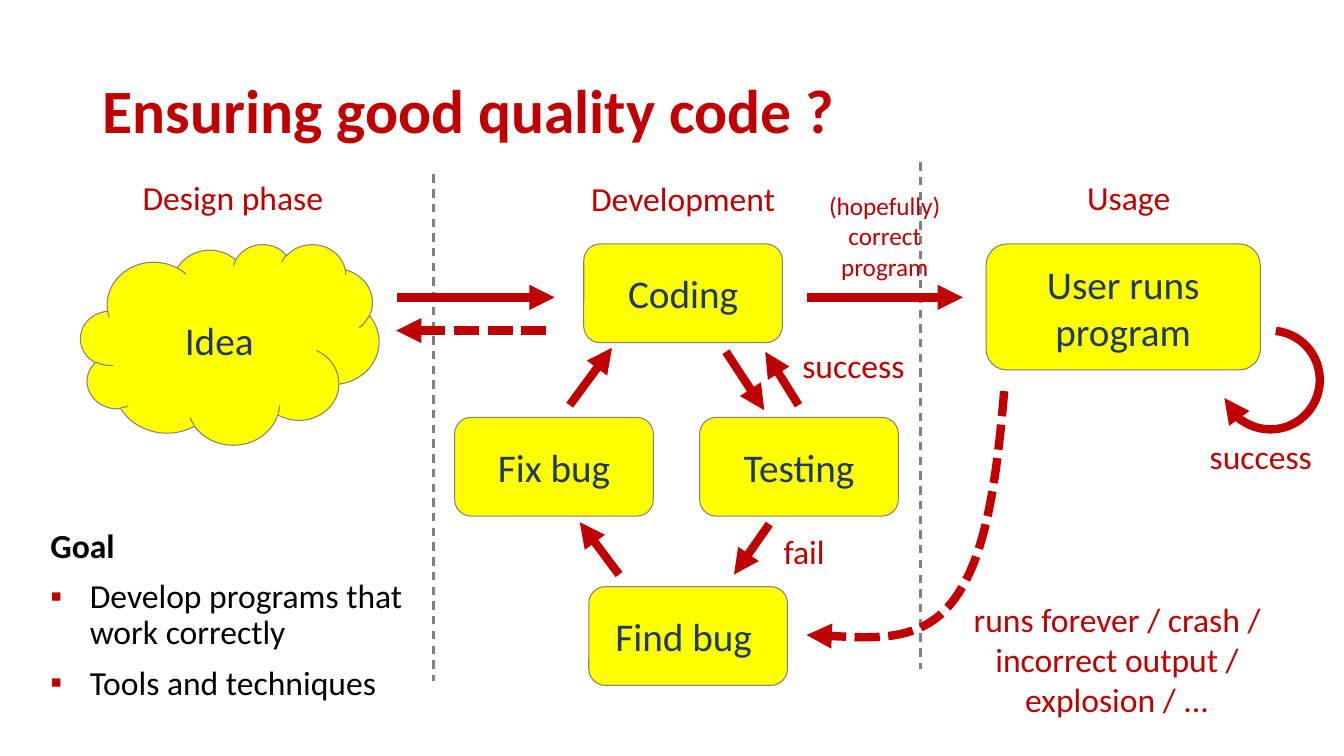
from dataclasses import dataclass
from typing import Any, Optional

from lxml.etree import SubElement
from pptx import Presentation
from pptx.dml.color import RGBColor
from pptx.dml.line import LineFormat
from pptx.enum.dml import MSO_LINE
from pptx.enum.shapes import MSO_CONNECTOR, MSO_SHAPE
from pptx.enum.text import MSO_ANCHOR, MSO_AUTO_SIZE, PP_ALIGN
from pptx.oxml.ns import qn
from pptx.slide import Slide
from pptx.util import Inches, Pt

COLOURS = {
    "accent": "C00000",
    "box": "FFFF00",
    "outline": "808080",
    "box_text": "203864",
    "body": "000000",
}
FONT = "Calibri"
BOX_SIZE = (1.97, 0.98)


@dataclass
class Box:
    text: str
    left: float
    top: float
    width: float = BOX_SIZE[0]
    height: float = BOX_SIZE[1]
    kind: MSO_SHAPE = MSO_SHAPE.ROUNDED_RECTANGLE


@dataclass
class Label:
    text: str
    left: float
    top: float
    width: float
    height: float = 0.5
    size: int = 24


@dataclass
class Line:
    start: tuple[float, float]
    end: tuple[float, float]
    colour: str = "accent"
    width: float = 6
    dash: Optional[MSO_LINE] = None
    arrow: Optional[str] = "tailEnd"


BOXES = [
    Box("Idea", 0.8, 2.42, 2.96, 1.99, MSO_SHAPE.CLOUD),
    Box("Coding", 5.79, 2.42),
    Box("User runs program", 9.78, 2.42, 2.72, 1.25),
    Box("Fix bug", 4.51, 4.14),
    Box("Find bug ", 5.84, 5.82),
    Box("Testing", 6.94, 4.14),
]
LABELS = [
    Label("Development", 5.31, 1.72, 2.93),
    Label("Usage", 9.78, 1.71, 2.83),
    Label("Design phase", 1.01, 1.71, 2.6),
    Label("success", 11.62, 4.28, 1.77),
    Label("runs forever / crash / incorrect output / explosion / ...", 9.33, 5.89, 3.5, 1.31),
    Label("(hopefully)\ncorrect program", 8.03, 1.84, 1.49, 1.01, 18),
    Label("success", 7.58, 3.37, 1.77),
    Label("fail", 7.37, 5.22, 1.21),
]
LINES = [
    Line((4.3, 1.73), (4.3, 6.76), "outline", 1.5, MSO_LINE.DASH, None),
    Line((9.13, 1.61), (9.13, 6.64), "outline", 1.5, MSO_LINE.DASH, None),
    Line((3.94, 2.95), (5.5, 2.95)),
    Line((5.42, 3.28), (3.93, 3.28), dash=MSO_LINE.SQUARE_DOT),
    Line((8, 2.95), (9.55, 2.95)),
    Line((7.2, 3.49), (7.58, 4.07)),
    Line((7.92, 4.02), (7.59, 3.49)),
    Line((7.63, 5.2), (7.28, 5.7)),
    Line((6.14, 5.7), (5.75, 5.18)),
    Line((5.65, 4.02), (6.07, 3.45)),
]
CRASH_CURVE = [
    (9.96, 3.88),
    (9.88, 4.85), (9.76, 5.59), (9.43, 5.99),
    (9.11, 6.39), (8.31, 6.31), (8, 6.3),
]


def colour_of(name: str) -> RGBColor:
    return RGBColor.from_string(COLOURS[name])


def apply_format(target: Any, values: dict[str, Any]) -> None:
    for name, value in values.items():
        setattr(target, name, value)


def place(shape: Any, left: float, top: float, width: float, height: float) -> None:
    names = ("left", "top", "width", "height")
    lengths = (left, top, width, height)
    apply_format(shape, {name: Inches(length) for name, length in zip(names, lengths)})


def write_text(shape: Any, text: str, size: int, colour: str, alignment: PP_ALIGN,
               bold: bool = False) -> None:
    shape.text_frame.text = text
    for paragraph in shape.text_frame.paragraphs:
        paragraph.alignment = alignment
        for run in paragraph.runs:
            apply_format(run.font, {"name": FONT, "size": Pt(size), "bold": bold})
            run.font.color.rgb = colour_of(colour)


def style_line(line: LineFormat, colour: str, width: float,
               dash: Optional[MSO_LINE] = None, arrow: Optional[str] = None) -> None:
    line.color.rgb = colour_of(colour)
    apply_format(line, {"width": Pt(width), "dash_style": dash})
    if arrow:
        SubElement(line._get_or_add_ln(), qn(f"a:{arrow}"), type="triangle")


def add_box(slide: Slide, box: Box) -> None:
    shape = slide.shapes.add_shape(
        box.kind, Inches(box.left), Inches(box.top), Inches(box.width), Inches(box.height))
    shape.shadow.inherit = False
    shape.fill.solid()
    shape.fill.fore_color.rgb = colour_of("box")
    style_line(shape.line, "outline", 0.75)
    write_text(shape, box.text, 28, "box_text", PP_ALIGN.CENTER)
    shape.text_frame.vertical_anchor = MSO_ANCHOR.MIDDLE


def add_label(slide: Slide, label: Label) -> None:
    shape = slide.shapes.add_textbox(
        Inches(label.left), Inches(label.top), Inches(label.width), Inches(label.height))
    write_text(shape, label.text, label.size, "accent", PP_ALIGN.CENTER)
    apply_format(shape.text_frame,
                 {"word_wrap": True, "auto_size": MSO_AUTO_SIZE.SHAPE_TO_FIT_TEXT})


def add_line(slide: Slide, line: Line) -> None:
    connector = slide.shapes.add_connector(
        MSO_CONNECTOR.STRAIGHT, *(Inches(length) for length in line.start + line.end))
    style_line(connector.line, line.colour, line.width, line.dash, line.arrow)
    SubElement(connector._element.spPr, qn("a:effectLst"))


def add_success_loop(slide: Slide) -> None:
    arc = slide.shapes.add_shape(
        MSO_SHAPE.ARC, Inches(12.11), Inches(3.28), Inches(0.98), Inches(0.98))
    arc.adjustments[0], arc.adjustments[1] = 120.87, 50.2
    arc._element.spPr.xfrm.set("flipV", "1")
    arc.shadow.inherit = False
    arc.fill.background()
    style_line(arc.line, "accent", 6, arrow="headEnd")


def add_crash_curve(slide: Slide) -> None:
    points = [(Inches(x), Inches(y)) for x, y in CRASH_CURVE]
    builder = slide.shapes.build_freeform(*points[0])
    builder.add_line_segments(points[1:], close=False)
    curve = builder.convert_to_shape()
    outline = next(curve._element.iter(qn("a:path")))
    segments = outline.findall(qn("a:lnTo"))
    for index in range(0, len(segments), 3):
        bezier = SubElement(outline, qn("a:cubicBezTo"))
        for segment in segments[index:index + 3]:
            bezier.append(segment[0])
            outline.remove(segment)
    curve.shadow.inherit = False
    curve.fill.background()
    style_line(curve.line, "accent", 6, MSO_LINE.SQUARE_DOT, "tailEnd")


def fill_title(slide: Slide) -> None:
    title = slide.shapes.title
    place(title, 0.92, 0.4, 11.5, 1.45)
    write_text(title, "Ensuring good quality code ?", 44, "accent", PP_ALIGN.LEFT, True)
    apply_format(title.text_frame,
                 {"vertical_anchor": MSO_ANCHOR.MIDDLE, "auto_size": MSO_AUTO_SIZE.NONE})
    title.text_frame.paragraphs[0].line_spacing = 0.9


def fill_goal(slide: Slide) -> None:
    body = slide.placeholders[1]
    place(body, 0.4, 5.2, 3.7, 1.95)
    write_text(body, "Goal\nDevelop programs that work correctly\nTools and techniques",
               24, "body", PP_ALIGN.LEFT)
    body.text_frame.auto_size = MSO_AUTO_SIZE.NONE
    for index, paragraph in enumerate(body.text_frame.paragraphs):
        is_item = index > 0
        indent = Inches(0.39) if is_item else 0
        properties = paragraph._p.get_or_add_pPr()
        apply_format(paragraph, {"line_spacing": 0.9, "space_before": Pt(10 * is_item)})
        properties.set("marL", str(indent))
        properties.set("indent", str(-indent))
        if is_item:
            bullet_colour = SubElement(properties, qn("a:buClr"))
            SubElement(bullet_colour, qn("a:srgbClr"), val=COLOURS["accent"])
            SubElement(properties, qn("a:buChar"), char="▪")
        else:
            SubElement(properties, qn("a:buNone"))
            paragraph.runs[0].font.bold = True


def main() -> None:
    presentation = Presentation()
    apply_format(presentation, {"slide_width": Inches(13.33), "slide_height": Inches(7.5)})
    slide = presentation.slides.add_slide(presentation.slide_layouts[1])
    fill_title(slide)
    fill_goal(slide)
    for box in BOXES:
        add_box(slide, box)
    for line in LINES:
        add_line(slide, line)
    add_success_loop(slide)
    add_crash_curve(slide)
    for label in LABELS:
        add_label(slide, label)
    presentation.save("out.pptx")


if __name__ == "__main__":
    main()
